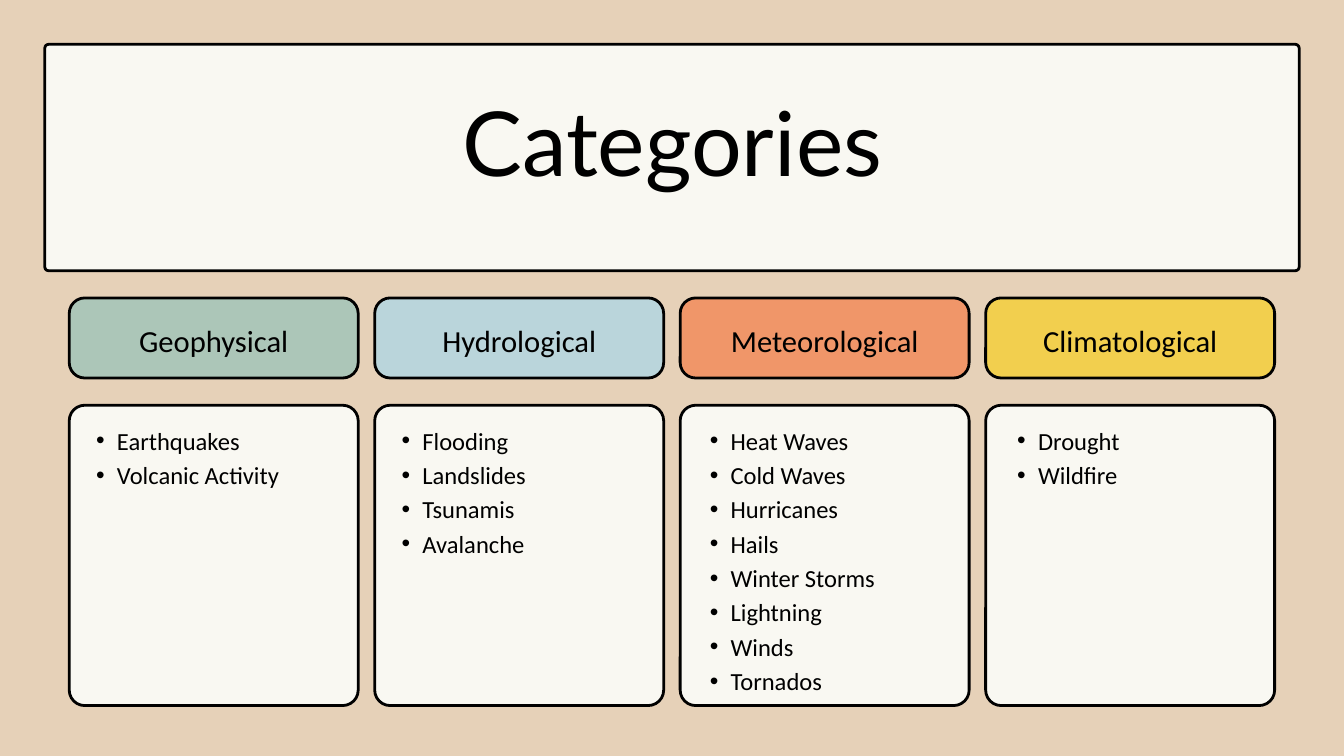
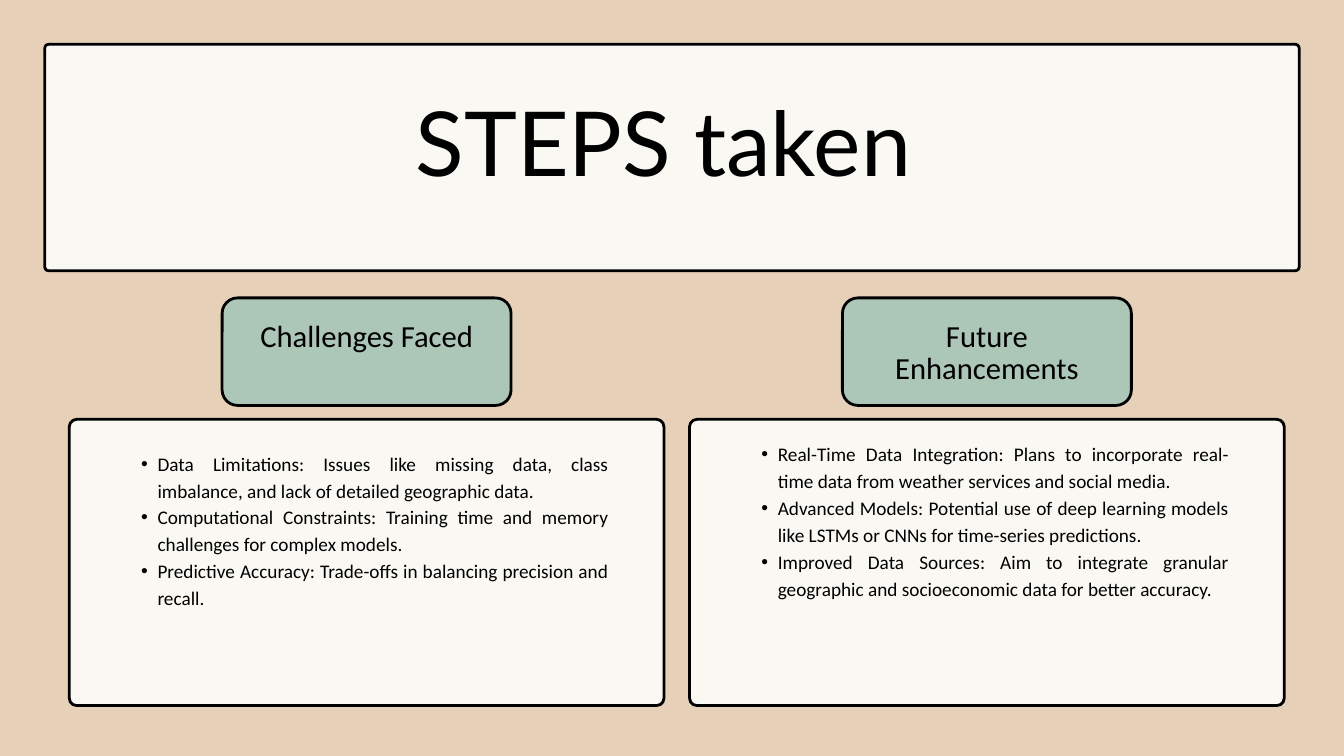
import pptx
import pptx.dml.color
import pptx.enum.shapes
import pptx.enum.text
import pptx.oxml
import pptx.oxml.ns
import pptx.util

Pt = pptx.util.Pt
ALIGN = pptx.enum.text.PP_ALIGN

SAND, CREAM, BLACK = "E6D1B8", "F9F8F2", "000000"
SAGE, SKY, CORAL, GOLD = "ACC6B8", "BAD5DB", "F09669", "F2CF4E"

LEFT = 74.2
TAB_TOP, TAB_WIDTH = 319.2, 309.6
TAB_RADIUS = 16.6
LABEL_INSET = 11.5
BOTTOM = 756

TITLE = {"name": "Lato", "size": 96, "line": 134.4, "align": ALIGN.CENTER}
LABEL = {"name": "Calibri", "size": 32.8, "line": 46, "align": ALIGN.CENTER}
TWO_LINE_LABEL = {**LABEL, "line": 35.1}
ITEMS = {"name": "Calibri", "size": 26.3, "line": 36.8, "align": ALIGN.LEFT,
         "indent": 22.3}
POINTS = {"name": "Calibri", "size": 20.6, "line": 28.8,
          "align": ALIGN.JUSTIFY, "indent": 17.6}

CATEGORIES = [
    ("Geophysical", SAGE, 6.5, ["Earthquakes", "Volcanic Activity"]),
    ("Hydrological", SKY, 6.5,
     ["Flooding", "Landslides", "Tsunamis", "Avalanche"]),
    ("Meteorological", CORAL, 9.4,
     ["Heat Waves", "Cold Waves", "Hurricanes", "Hails", "Winter Storms",
      "Lightning", "Winds", "Tornados"]),
    ("Climatological", GOLD, 11.5, ["Drought", "Wildfire"]),
]

STEPS = [
    ("Challenges Faced", 480.2, 229.7, [
        "Data Limitations: Issues like missing data, class imbalance, "
        "and lack of detailed geographic data.",
        "Computational Constraints: Training time and memory challenges "
        "for complex models.",
        "Predictive Accuracy: Trade-offs in balancing precision and recall.",
    ]),
    ("Future Enhancements", 470.2, 339, [
        "Real-Time Data Integration: Plans to incorporate real-time data "
        "from weather services and social media.",
        "Advanced Models: Potential use of deep learning models like LSTMs "
        "or CNNs for time-series predictions.",
        "Improved Data Sources: Aim to integrate granular geographic and "
        "socioeconomic data for better accuracy.",
    ]),
]


def color(value):
    return pptx.dml.color.RGBColor.from_string(value)


def set_all(obj, values):
    for name, value in values.items():
        setattr(obj, name, value)


def add_card(s, x, y, w, h, fill, radius):
    sp = s.shapes.add_shape(
        pptx.enum.shapes.MSO_SHAPE.ROUNDED_RECTANGLE,
        Pt(x), Pt(y), Pt(w), Pt(h))
    sp.adjustments[0] = radius / min(w, h)
    sp.shadow.inherit = False
    sp.fill.solid()
    sp.fill.fore_color.rgb = color(fill)
    sp.line.color.rgb = color(BLACK)
    sp.line.width = Pt(3)


def add_bullet(p, indent):
    p.level = 1
    pPr = p._p.get_or_add_pPr()
    pPr.set("marL", str(Pt(2 * indent)))
    pPr.set("indent", str(-Pt(indent)))
    for tag, name, value in (("buFont", "typeface", "Arial"),
                             ("buChar", "char", "•")):
        bullet = pptx.oxml.parse_xml(
            f'<a:{tag} {pptx.oxml.ns.nsdecls("a")} {name}="{value}"/>')
        pPr.append(bullet)


def add_text(s, x, y, w, h, lines, style):
    tf = s.shapes.add_textbox(Pt(x), Pt(y), Pt(w), Pt(h)).text_frame
    set_all(tf, {"word_wrap": True, "margin_left": 0, "margin_right": 0,
                 "margin_top": 0, "margin_bottom": 0,
                 "auto_size": pptx.enum.text.MSO_AUTO_SIZE.SHAPE_TO_FIT_TEXT})
    for i, line in enumerate(lines):
        p = tf.add_paragraph() if i else tf.paragraphs[0]
        set_all(p, {"alignment": style["align"],
                    "line_spacing": Pt(style["line"])})
        if "indent" in style:
            add_bullet(p, style["indent"])
        r = p.add_run()
        r.text = line
        set_all(r.font, {"name": style["name"], "size": Pt(style["size"])})
        r.font.color.rgb = color(BLACK)


def add_tab(s, x, h, fill, text, text_top, text_height, style):
    add_card(s, x, TAB_TOP, TAB_WIDTH, h, fill, TAB_RADIUS)
    add_text(s, x + LABEL_INSET, text_top, TAB_WIDTH - 2 * LABEL_INSET,
             text_height, [text], style)


def add_titled_slide(prs, title, title_left):
    s = prs.slides.add_slide(prs.slide_layouts[6])
    s.background.fill.solid()
    s.background.fill.fore_color.rgb = color(SAND)
    add_card(s, 48, 47.5, 1344, 242.6, CREAM, 4)
    add_text(s, title_left, 74.2, 1049, 151.2, [title], TITLE)
    return s


def add_categories(prs):
    s = add_titled_slide(prs, "Categories", 195.8)
    top, pitch = 434.2, 327.3
    for i, (name, fill, inset, items) in enumerate(CATEGORIES):
        x = LEFT + i * pitch
        add_tab(s, x, 85.8, fill, name, 338.4, 44, LABEL)
        add_card(s, x, top, TAB_WIDTH, BOTTOM - top, CREAM, TAB_RADIUS)
        add_text(s, x + inset, 450.7, 291.6, len(items) * 36.2, items, ITEMS)


def add_steps(prs):
    s = add_titled_slide(prs, "STEPS taken", 186.5)
    top, width, pitch = 449.3, 637.2, 664.6
    for i, (name, text_top, text_height, points) in enumerate(STEPS):
        x = LEFT + i * pitch
        add_tab(s, x + (width - TAB_WIDTH) / 2, 115.2, SAGE, name,
                343.4, 70.6, TWO_LINE_LABEL)
        add_card(s, x, top, width, BOTTOM - top, CREAM, 8)
        add_text(s, x + (width - 518.4) / 2, text_top, 518.4, text_height,
                 points, POINTS)


def main():
    prs = pptx.Presentation()
    set_all(prs, {"slide_width": Pt(1440), "slide_height": Pt(810)})
    add_categories(prs)
    add_steps(prs)
    prs.save("out.pptx")


if __name__ == "__main__":
    main()
